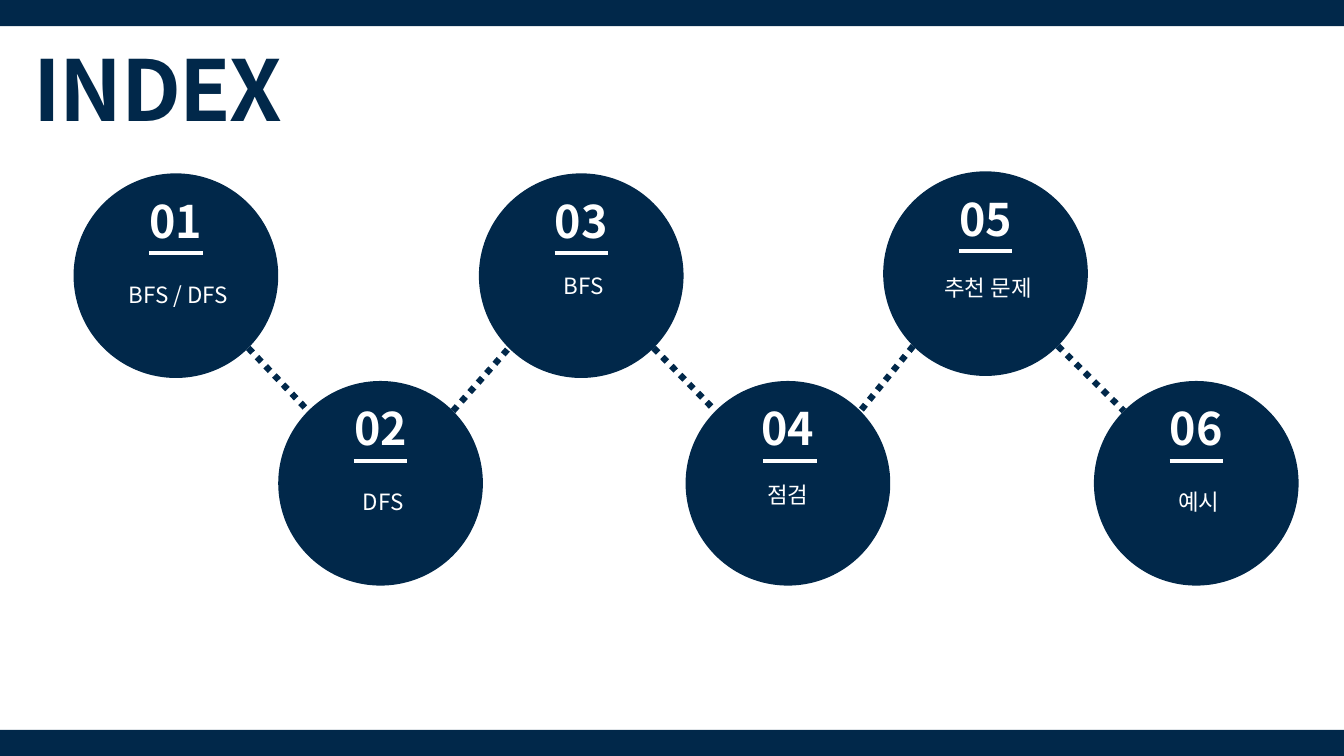
from dataclasses import dataclass
from math import sqrt
from typing import Any, NamedTuple

from lxml.etree import SubElement
from pptx import Presentation
from pptx.dml.color import RGBColor
from pptx.enum.dml import MSO_LINE
from pptx.enum.shapes import MSO_CONNECTOR, MSO_SHAPE
from pptx.enum.text import MSO_AUTO_SIZE, PP_ALIGN
from pptx.oxml.ns import qn
from pptx.util import Inches, Pt


@dataclass(frozen=True)
class Theme:
    navy: RGBColor = RGBColor(0x01, 0x28, 0x4A)
    white: RGBColor = RGBColor(0xFF, 0xFF, 0xFF)
    font: str = "Noto Sans CJK KR"
    title: Pt = Pt(60)
    number: Pt = Pt(32)
    label: Pt = Pt(16)
    underline: Pt = Pt(3)
    dots: Pt = Pt(4.5)


class Area(NamedTuple):
    left: float
    top: float
    width: float
    height: float


class Point(NamedTuple):
    x: float
    y: float


@dataclass(frozen=True)
class Topic:
    label: str
    left: float
    top: float
    label_drop: float
    label_shift: float = 0.14
    label_width: float = 1.8
    underline_shift: float = 0.75

    def diagonal(self, right: int, down: int) -> Point:
        radius = DIAMETER / 2
        reach = radius / sqrt(2)
        return Point(self.left + radius + right * reach, self.top + radius + down * reach)


class Link(NamedTuple):
    upper: int
    lower: int
    starts_low: bool = False


THEME = Theme()
WIDTH, HEIGHT, BAND = 13.33, 7.5, 0.26
DIAMETER = 2.03
LOW_ROW = 3.78

TOPICS = (
    Topic("BFS / DFS", 0.73, 1.72, 1.02),
    Topic("DFS", 2.76, LOW_ROW, 1.01),
    Topic("BFS", 4.75, 1.72, 0.93),
    Topic("점검", 6.8, LOW_ROW, 0.94, 0.06, 1.91, 0.77),
    Topic("추천 문제", 8.76, 1.7, 0.97),
    Topic("예시", 10.85, LOW_ROW, 1.01),
)
LINKS = (Link(0, 1), Link(2, 1, True), Link(2, 3), Link(4, 3), Link(4, 5))


def apply_format(target: Any, values: dict[str, Any]) -> None:
    for name, value in values.items():
        setattr(target, name, value)


def add_solid(shapes: Any, kind: MSO_SHAPE, area: Area) -> None:
    shape = shapes.add_shape(kind, *map(Inches, area))
    shape.shadow.inherit = False
    shape.fill.solid()
    shape.fill.fore_color.rgb = THEME.navy
    shape.line.fill.background()


def add_text(shapes: Any, text: str, area: Area, color: RGBColor,
             font: dict[str, Any], frame: dict[str, Any], paragraph: dict[str, Any]) -> Any:
    box = shapes.add_textbox(*map(Inches, area))
    apply_format(box.text_frame, {
        "word_wrap": True, "auto_size": MSO_AUTO_SIZE.SHAPE_TO_FIT_TEXT, **frame})
    para = box.text_frame.paragraphs[0]
    apply_format(para, paragraph)
    span = para.add_run()
    span.text = text
    apply_format(span.font, {"name": THEME.font, **font})
    span.font.color.rgb = color
    properties = span._r.get_or_add_rPr()
    SubElement(properties, qn("a:ea")).set("typeface", THEME.font)
    return span


def add_line(shapes: Any, start: Point, end: Point, color: RGBColor,
             style: dict[str, Any]) -> None:
    line = shapes.add_connector(MSO_CONNECTOR.STRAIGHT, *map(Inches, (*start, *end)))
    line.line.color.rgb = color
    apply_format(line.line, style)
    SubElement(line._element.spPr, qn("a:effectLst"))


def add_title(page: Any) -> None:
    margins = ("margin_left", "margin_top", "margin_right", "margin_bottom")
    span = add_text(page.shapes, "INDEX", Area(0.33, 0.49, 10.08, 0.91), THEME.navy,
                    {"size": THEME.title, "bold": True}, dict.fromkeys(margins, 0),
                    {"line_spacing": 0.9, "space_before": Pt(10)})
    span._r.get_or_add_rPr().set("spc", "-100")


def add_topic(page: Any, number: int, topic: Topic) -> None:
    shapes = page.shapes.add_group_shape().shapes
    left, top = topic.left, topic.top
    centred = {"alignment": PP_ALIGN.CENTER}
    add_solid(shapes, MSO_SHAPE.OVAL, Area(left, top, DIAMETER, DIAMETER))
    add_text(shapes, f"{number:02}", Area(left + 0.64, top + 0.15, 0.75, 0.64),
             THEME.white, {"size": THEME.number, "bold": True}, {}, centred)
    start = Point(left + topic.underline_shift, top + 0.79)
    add_line(shapes, start, Point(start.x + 0.53, start.y), THEME.white,
             {"width": THEME.underline})
    add_text(shapes, topic.label,
             Area(left + topic.label_shift, top + topic.label_drop, topic.label_width, 0.37),
             THEME.white, {"size": THEME.label}, {}, centred)


def add_link(page: Any, link: Link) -> None:
    side = 1 if link.lower > link.upper else -1
    ends = [TOPICS[link.upper].diagonal(side, 1), TOPICS[link.lower].diagonal(-side, -1)]
    if link.starts_low:
        ends.reverse()
    add_line(page.shapes, *ends, THEME.navy,
             {"width": THEME.dots, "dash_style": MSO_LINE.ROUND_DOT})


def main() -> None:
    deck = Presentation()
    apply_format(deck, {"slide_width": Inches(WIDTH), "slide_height": Inches(HEIGHT)})
    page = deck.slides.add_slide(deck.slide_layouts[6])
    for top in (0, HEIGHT - BAND):
        add_solid(page.shapes, MSO_SHAPE.RECTANGLE, Area(0, top, WIDTH, BAND))
    add_title(page)
    for number, topic in enumerate(TOPICS, 1):
        add_topic(page, number, topic)
    for link in LINKS:
        add_link(page, link)
    deck.save("out.pptx")


if __name__ == "__main__":
    main()
